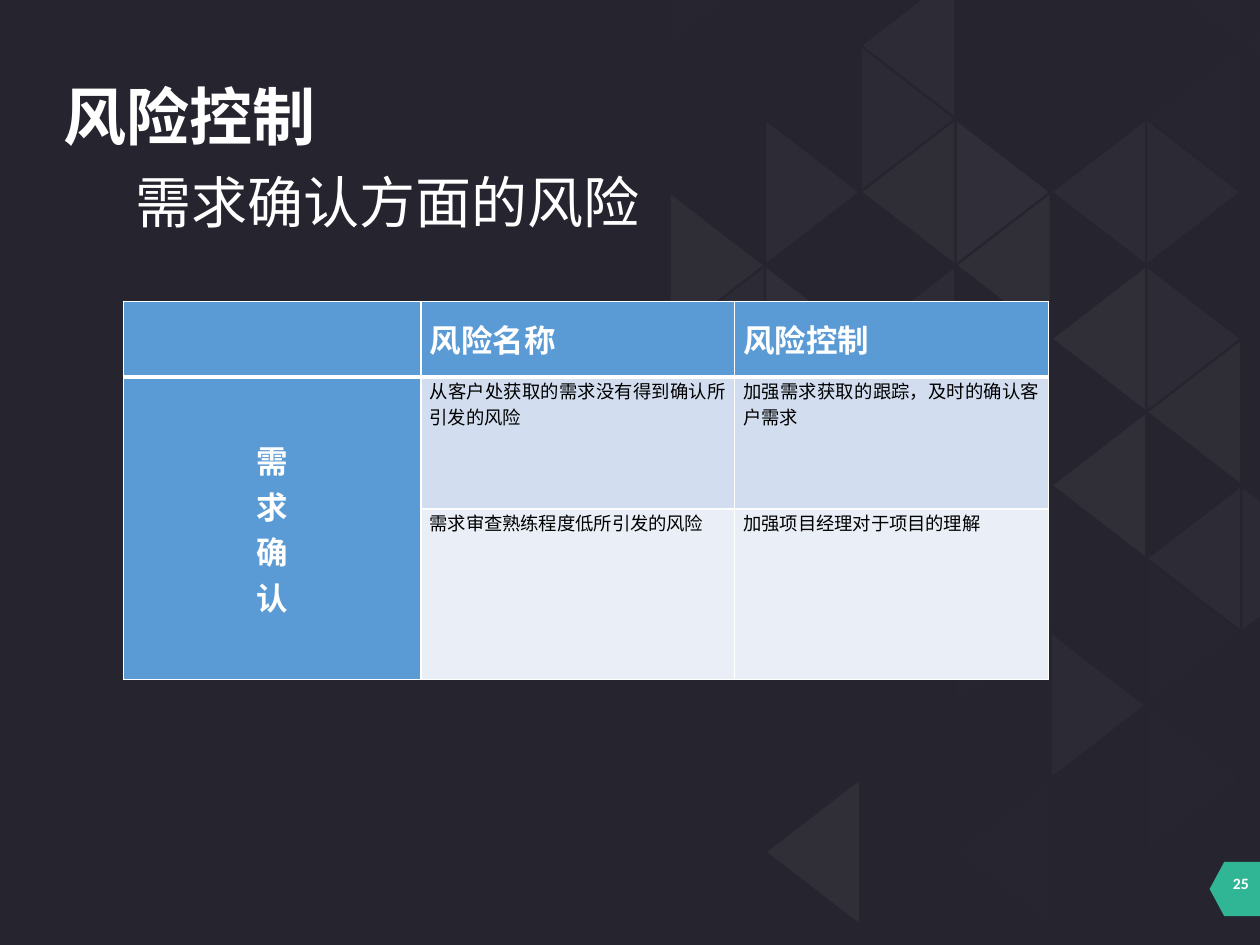
import pptx
import pptx.dml.color
import pptx.enum.shapes
import pptx.enum.text
import pptx.oxml.ns
import pptx.util
from lxml import etree

Pt = pptx.util.Pt
qn = pptx.oxml.ns.qn
ALIGN = pptx.enum.text.PP_ALIGN
ANCHOR = pptx.enum.text.MSO_ANCHOR

COLORS = {
    "bg": "26252F",
    "white": "FFFFFF",
    "black": "000000",
    "green": "30B695",
    "header": "5B9BD5",
    "band_dark": "D2DEEF",
    "band_light": "EAEFF7",
    "snow": "FBFBFB",
    "pale": "F2F2F2",
    "light": "D9D9D9",
    "silver": "BFBFBF",
    "mid": "A6A6A6",
    "gray": "808080",
}

GRID_LEFT, GRID_TOP = 328.2, -57.8
TRI_W, TRI_HALF = 54.46, 41.9

TRIANGLES = [
    ("snow", 5, [(4, 3), (2, 5), (2, 7)]),
    ("pale", 5, [(5, 5), (3, 7), (2, 12), (4, 4), (5, 7)]),
    ("light", 5, [(3, 3), (6, 6), (1, 4), (4, 8)]),
    ("silver", 5, [(1, 6), (6, 5), (6, 8), (5, 3), (3, 5), (2, 3), (3, 1)]),
    ("mid", 5, [(1, 5), (2, 8), (4, 7), (7, 8), (5, 10), (6, 3), (3, 2)]),
    (None, 0, [(6, 1), (3, 0), (5, 6), (1, 10), (7, 7), (7, 6), (5, 4),
               (2, 6), (0, 4), (2, 2), (5, 2), (4, 2), (7, 4), (6, 4),
               (5, 9), (4, 0), (0, 5), (5, 8), (5, 1), (7, 3), (1, 1),
               (3, 8), (2, 9), (1, 9), (3, 4), (4, 5), (3, 10), (4, 1)]),
    ("gray", 2, [(4, 12), (6, 0), (6, 9), (7, 1), (6, 2), (1, 0), (6, 11), (4, 9)]),
    (None, 0, [(7, 0), (7, 2), (6, 12)]),
]

HEADERS = ["", "风险名称", "风险控制"]
ROW_LABEL = "需求确认"
RISKS = [
    ("从客户处获取的需求没有得到确认所引发的风险", "加强需求获取的跟踪，及时的确认客户需求"),
    ("需求审查熟练程度低所引发的风险", "加强项目经理对于项目的理解"),
]


def rgb(name):
    return pptx.dml.color.RGBColor.from_string(COLORS[name])


def fill_solid(fill, name):
    fill.solid()
    fill.fore_color.rgb = rgb(name)


def add_run(p, text, size, color, bold=False, font="Calibri"):
    r = p.add_run()
    r.text = text
    r.font.size = Pt(size)
    r.font.name = font
    r.font.bold = bold
    r.font.color.rgb = rgb(color)


def add_triangle(shapes, col, row, color, opacity):
    left = GRID_LEFT + col * TRI_W
    right = left + TRI_W
    top = GRID_TOP + row * TRI_HALF
    points_left = (col + row) % 2 == 0
    base, apex = (right, left) if points_left else (left, right)
    builder = shapes.build_freeform(Pt(base), Pt(top))
    builder.add_line_segments([
        (Pt(apex), Pt(top + TRI_HALF)),
        (Pt(base), Pt(top + 2 * TRI_HALF)),
    ])
    sp = builder.convert_to_shape()
    sp.shadow.inherit = False
    sp.line.color.rgb = rgb("bg")
    sp.line.width = Pt(1.25)
    if color is None:
        sp.fill.background()
        return
    fill_solid(sp.fill, color)
    clr = sp._element.spPr.find(qn("a:solidFill")).find(qn("a:srgbClr"))
    etree.SubElement(clr, qn("a:alpha"), val=str(opacity * 1000))


def add_pattern(s):
    group = s.shapes.add_group_shape()
    for color, opacity, cells in TRIANGLES:
        for col, row in cells:
            add_triangle(group.shapes, col, row, color, opacity)


def add_page_tag(s):
    sp = s.shapes.add_shape(pptx.enum.shapes.MSO_SHAPE.PENTAGON,
                            Pt(691.2), Pt(492.5), Pt(28.8), Pt(31))
    sp.adjustments[0] = 0.29
    sp.rotation = 180
    sp.shadow.inherit = False
    fill_solid(sp.fill, "green")
    sp.line.fill.background()


def add_text(s, text, box, size, wrap=False, bold=False, font="Calibri"):
    sp = s.shapes.add_textbox(*[Pt(v) for v in box])
    tf = sp.text_frame
    tf.word_wrap = wrap
    tf.auto_size = pptx.enum.text.MSO_AUTO_SIZE.SHAPE_TO_FIT_TEXT
    add_run(tf.paragraphs[0], text, size, "white", bold, font)


def set_borders(cell, top=1, bottom=1):
    tc_pr = cell._tc.get_or_add_tcPr()
    widths = {"a:lnL": 1, "a:lnR": 1, "a:lnT": top, "a:lnB": bottom}
    for i, (tag, width) in enumerate(widths.items()):
        ln = etree.Element(qn(tag), w=str(Pt(width)))
        solid = etree.SubElement(ln, qn("a:solidFill"))
        etree.SubElement(solid, qn("a:srgbClr"), val=COLORS["white"])
        tc_pr.insert(i, ln)


def fill_cell(cell, lines, size, color, bold, align, anchor):
    cell.margin_left = cell.margin_right = Pt(5)
    cell.margin_top = cell.margin_bottom = 0
    cell.vertical_anchor = anchor
    tf = cell.text_frame
    for i, line in enumerate(lines):
        p = tf.add_paragraph() if i else tf.paragraphs[0]
        p.alignment = align
        add_run(p, line, size, color, bold)


def add_risk_table(s):
    widths, heights = [170, 179.3, 179.3], [43.2, 75.6, 97.2]
    frame = s.shapes.add_table(3, 3, Pt(70.5), Pt(172.2),
                               Pt(sum(widths)), Pt(sum(heights)))
    table = frame.table
    for column, width in zip(table.columns, widths):
        column.width = Pt(width)
    for row, height in zip(table.rows, heights):
        row.height = Pt(height)
    bands = ["header", "band_dark", "band_light"]
    for i, band in enumerate(bands):
        for j in range(3):
            cell = table.cell(i, j)
            fill_solid(cell.fill, band if j else "header")
            set_borders(cell, top=3 if i == 1 else 1, bottom=3 if i == 0 else 1)
    for j, header in enumerate(HEADERS):
        if header:
            fill_cell(table.cell(0, j), [header], 18, "white", True,
                      ALIGN.JUSTIFY, ANCHOR.MIDDLE)
    table.cell(1, 0).merge(table.cell(2, 0))
    fill_cell(table.cell(1, 0), ROW_LABEL, 18, "white", True,
              ALIGN.CENTER, ANCHOR.MIDDLE)
    for i, risk in enumerate(RISKS, 1):
        for j, text in enumerate(risk, 1):
            fill_cell(table.cell(i, j), [text], 10.5, "black", False,
                      ALIGN.JUSTIFY, ANCHOR.TOP)


def main():
    prs = pptx.Presentation()
    prs.slide_width, prs.slide_height = Pt(720), Pt(540)
    s = prs.slides.add_slide(prs.slide_layouts[6])
    fill_solid(s.background.fill, "bg")
    add_pattern(s)
    add_page_tag(s)
    add_text(s, "25", (697.5, 496, 25, 18), 9, bold=True)
    add_text(s, "风险控制", (29.5, 41, 160.5, 51), 36, bold=True, font="Manrope")
    add_text(s, "需求确认方面的风险", (70.5, 92, 628.5, 46), 32, wrap=True)
    add_risk_table(s)
    prs.save("out.pptx")


if __name__ == "__main__":
    main()
